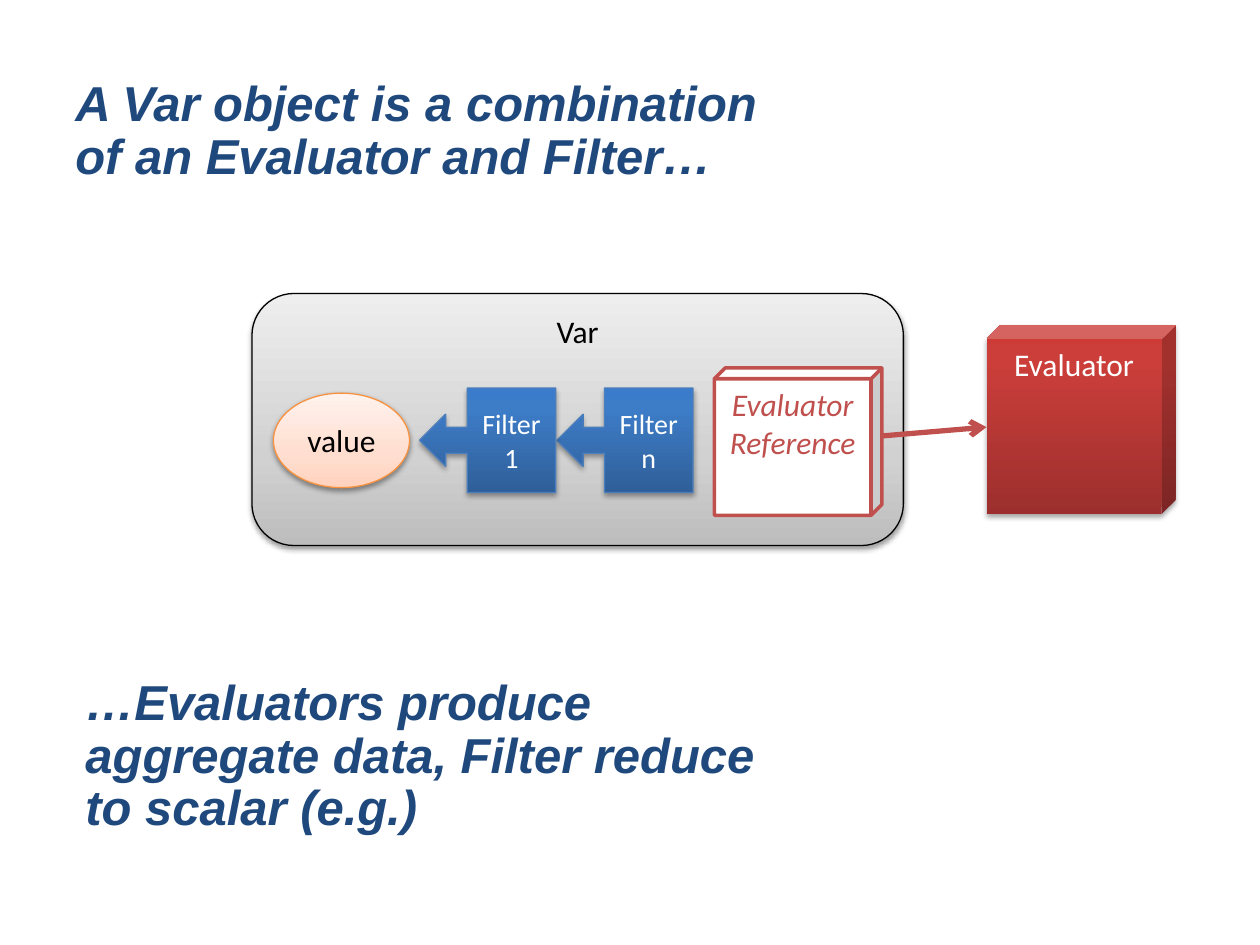
from lxml import etree
from pptx import Presentation
from pptx.dml.color import RGBColor
from pptx.enum import shapes, text
from pptx.oxml import ns
from pptx.util import Inches, Pt

SHAPE = shapes.MSO_SHAPE
TOP, MIDDLE = text.MSO_ANCHOR.TOP, text.MSO_ANCHOR.MIDDLE
GREY = [(0, "BDBDBD"), (35, "D1D1D1"), (100, "EEEEEE")]
BLUE = [(0, "2F5F99"), (80, "3D7CC7"), (100, "3A7CCB")]
PEACH = [(0, "FFD2BD"), (35, "FFDED0"), (100, "FFF2ED")]
RED = [(0, "9C2F2D"), (80, "CB3E3A"), (100, "CE3B37")]
SOFT, STRONG = (38, 1.6), (35, 1.8)


def color(hex_value):
    return RGBColor.from_string(hex_value)


def add_child(parent, tag, **attributes):
    return etree.SubElement(parent, ns.qn(tag), {k: str(v) for k, v in attributes.items()})


def paint_gradient(shape, stops):
    shape.fill.gradient()
    shape.fill.gradient_angle = 90
    stop_list = shape._element.spPr.find(".//" + ns.qn("a:gsLst"))
    for stop in list(stop_list):
        stop_list.remove(stop)
    for position, value in stops:
        stop = add_child(stop_list, "a:gs", pos=position * 1000)
        add_child(stop, "a:srgbClr", val=value)


def cast_shadow(shape, opacity, distance):
    effects = shape._element.spPr.find(ns.qn("a:effectLst"))
    shadow = add_child(effects, "a:outerShdw", blurRad=Pt(3.1), dist=Pt(distance),
                       dir=5400000, rotWithShape=0)
    black = add_child(shadow, "a:srgbClr", val="000000")
    add_child(black, "a:alpha", val=opacity * 1000)


def write(paragraph, words, size, ink, font="Calibri", bold=False, italic=False):
    run = paragraph.add_run()
    run.text = words
    run.font.name, run.font.size = font, Pt(size)
    run.font.bold, run.font.italic = bold, italic
    run.font.color.rgb = color(ink)


def add_block(slide, kind, box, words, fill, ink, outline=None, weight=0.75,
              shadow=None, anchor=MIDDLE, size=18, italic=False):
    block = slide.shapes.add_shape(kind, *map(Inches, box))
    block.shadow.inherit = False
    if isinstance(fill, str):
        block.fill.solid()
        block.fill.fore_color.rgb = color(fill)
    else:
        paint_gradient(block, fill)
    if outline:
        block.line.color.rgb = color(outline)
        block.line.width = Pt(weight)
    else:
        block.line.fill.background()
    if shadow:
        cast_shadow(block, *shadow)
    if kind == SHAPE.CUBE:
        block.adjustments[0] = 0.074
    block.text_frame.vertical_anchor = anchor
    paragraph = block.text_frame.paragraphs[0]
    paragraph.alignment = text.PP_ALIGN.CENTER
    write(paragraph, words, size, ink, italic=italic)


def add_statement(slide, box, words):
    frame = slide.shapes.add_textbox(*map(Inches, box)).text_frame
    frame.word_wrap = True
    frame.auto_size = text.MSO_AUTO_SIZE.SHAPE_TO_FIT_TEXT
    paragraph = frame.paragraphs[0]
    paragraph.line_spacing = 0.9
    write(paragraph, words, 28, "1F497D", "Arial", bold=True, italic=True)


def add_var(slide, box):
    left, top, _, _ = box
    add_block(slide, SHAPE.ROUNDED_RECTANGLE, box, "Var", GREY, "000000",
              "000000", shadow=SOFT, anchor=TOP)
    add_block(slide, SHAPE.OVAL, (left + 0.17, top + 0.79, 1.08, 0.75), "value",
              PEACH, "000000", "F69240", shadow=SOFT)
    for index, words in reversed(list(enumerate(["Filter 1", "Filter n"]))):
        add_block(slide, SHAPE.LEFT_ARROW_CALLOUT,
                  (left + 1.33 + index * 1.09, top + 0.75, 1.08, 0.83), words,
                  BLUE, "FFFFFF", "4B7EBC", shadow=STRONG, size=16)
    add_block(slide, SHAPE.CUBE, (left + 3.67, top + 0.59, 1.33, 1.17),
              "Evaluator Reference", "FFFFFF", "C0504D", "C0504D", weight=2,
              anchor=TOP, italic=True)


def add_evaluator(slide, box):
    left, top, _, _ = box
    add_block(slide, SHAPE.CUBE, box, "Evaluator", RED, "FFFFFF", shadow=STRONG, anchor=TOP)
    ends = (left - 0.83, top + 0.88, left, top + 0.81)
    reference = slide.shapes.add_connector(shapes.MSO_CONNECTOR.STRAIGHT, *map(Inches, ends))
    reference.line.color.rgb = color("C0504D")
    reference.line.width = Pt(3)
    add_child(reference.line._get_or_add_ln(), "a:tailEnd", type="arrow")
    add_child(reference._element.spPr, "a:effectLst")


def main():
    deck = Presentation()
    deck.slide_width, deck.slide_height = Inches(10), Inches(7.5)
    slide = deck.slides.add_slide(deck.slide_layouts[6])
    add_var(slide, (2, 2.33, 5.17, 2))
    add_statement(slide, (0.5, 0.58, 5.92, 0.95),
                  "A Var object is a combination of an Evaluator and Filter…")
    add_statement(slide, (0.58, 5.33, 5.92, 1.37),
                  "…Evaluators produce aggregate data, Filter reduce to scalar (e.g.)")
    add_evaluator(slide, (7.83, 2.58, 1.5, 1.5))
    deck.save("out.pptx")


if __name__ == "__main__":
    main()
